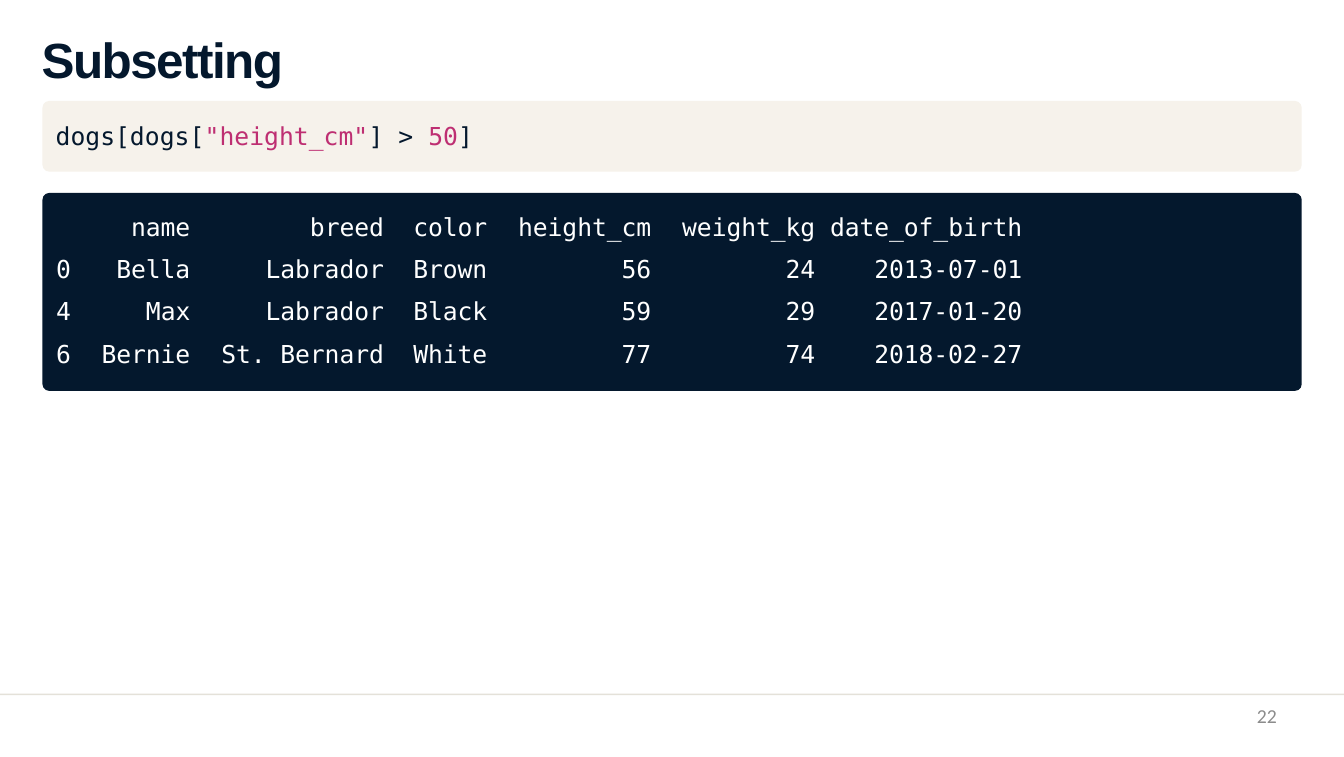
from dataclasses import dataclass

from pptx import Presentation
from pptx.dml.color import RGBColor
from pptx.enum.shapes import MSO_SHAPE
from pptx.enum.text import MSO_ANCHOR, MSO_AUTO_SIZE, PP_ALIGN
from pptx.util import Pt

LEFT, CENTER, RIGHT = PP_ALIGN.LEFT, PP_ALIGN.CENTER, PP_ALIGN.RIGHT
TOP = MSO_ANCHOR.TOP
NO_AUTOFIT = MSO_AUTO_SIZE.NONE
RECTANGLE, ROUNDED = MSO_SHAPE.RECTANGLE, MSO_SHAPE.ROUNDED_RECTANGLE
TITLE_ONLY_LAYOUT = 5
NO_STYLE_TABLE = "{2D5ABB26-0587-4C30-8999-92F81FD0307C}"


@dataclass(frozen=True)
class Theme:
    navy: RGBColor = RGBColor(0x04, 0x18, 0x2D)
    cream: RGBColor = RGBColor(0xF6, 0xF2, 0xEB)
    rule: RGBColor = RGBColor(0xE4, 0xE1, 0xD9)
    pink: RGBColor = RGBColor(0xBE, 0x2F, 0x72)
    white: RGBColor = RGBColor(0xFF, 0xFF, 0xFF)
    gray: RGBColor = RGBColor(0x8C, 0x8C, 0x8C)
    title_font: str = "Arial"
    code_font: str = "DejaVu Sans Mono"
    number_font: str = "Calibri"
    title_size: float = 45
    code_size: float = 22.5
    number_size: float = 18


THEME = Theme()

CODE = [
    ("dogs[dogs[", THEME.navy),
    ('"height_cm"', THEME.pink),
    ("] > ", THEME.navy),
    ("50", THEME.pink),
    ("]", THEME.navy),
]

# Column width, alignment, left and right cell margins
COLUMNS = [
    (29.5, LEFT, 2.2, 0),
    (108, RIGHT, 0, 13),
    (176.4, RIGHT, 0, 13),
    (95, CENTER, 0, 0),
    (149, RIGHT, 0, 13.4),
    (142.6, RIGHT, 0, 6.5),
    (185, RIGHT, 0, 2.9),
]
ROW_HEIGHTS = [33, 39, 39, 33]
DOGS = [
    ("", "name", "breed", "color", "height_cm", "weight_kg", "date_of_birth"),
    ("0", "Bella", "Labrador", "Brown", "56", "24", "2013-07-01"),
    ("4", "Max", "Labrador", "Black", "59", "29", "2017-01-20"),
    ("6", "Bernie", "St. Bernard", "White", "77", "74", "2018-02-27"),
]


def format_run(run, font_name, size, color, bold=False, tracking=0):
    run.font.name = font_name
    run.font.size = Pt(size)
    run.font.color.rgb = color
    run.font.bold = bold
    if tracking:
        run.font._element.set("spc", str(round(tracking * 100)))


def prepare_frame(text_frame, top_margin=0):
    text_frame.word_wrap = True
    text_frame.auto_size = NO_AUTOFIT
    text_frame.vertical_anchor = TOP
    text_frame.margin_left = text_frame.margin_right = 0
    text_frame.margin_top, text_frame.margin_bottom = Pt(top_margin), 0


def set_title(slide, text):
    title = slide.shapes.title
    title.left, title.top = Pt(37.9), Pt(21.6)
    title.width, title.height = Pt(332), Pt(56.2)
    title.text_frame.text = text
    prepare_frame(title.text_frame, top_margin=5)
    paragraph = title.text_frame.paragraphs[0]
    paragraph.alignment = LEFT
    format_run(paragraph.runs[0], THEME.title_font, THEME.title_size,
               THEME.navy, bold=True, tracking=-1.4)


def add_panel(slide, left, top, width, height, color, radius=0):
    kind = ROUNDED if radius else RECTANGLE
    panel = slide.shapes.add_shape(kind, Pt(left), Pt(top), Pt(width), Pt(height))
    if radius:
        panel.adjustments[0] = radius / height
    panel.fill.solid()
    panel.fill.fore_color.rgb = color
    panel.line.fill.background()
    panel.shadow.inherit = False


def add_text(slide, left, top, width, height, parts, font_name, size, alignment=LEFT):
    box = slide.shapes.add_textbox(Pt(left), Pt(top), Pt(width), Pt(height))
    prepare_frame(box.text_frame)
    paragraph = box.text_frame.paragraphs[0]
    paragraph.alignment = alignment
    for text, color in parts:
        run = paragraph.add_run()
        run.text = text
        format_run(run, font_name, size, color)


def fill_cell(cell, text, column, is_header):
    _, alignment, left_margin, right_margin = column
    cell.fill.background()
    cell.margin_left, cell.margin_right = Pt(left_margin), Pt(right_margin)
    cell.margin_top, cell.margin_bottom = Pt(0 if is_header else 5), 0
    cell.text_frame.text = text
    paragraph = cell.text_frame.paragraphs[0]
    paragraph.alignment = alignment
    if is_header:
        paragraph.line_spacing = Pt(26.4)
    for run in paragraph.runs:
        format_run(run, THEME.code_font, THEME.code_size, THEME.white, tracking=-0.1)


def add_output_table(slide, left, top):
    width = sum(column[0] for column in COLUMNS)
    frame = slide.shapes.add_table(len(DOGS), len(COLUMNS), Pt(left), Pt(top),
                                   Pt(width), Pt(sum(ROW_HEIGHTS)))
    table = frame.table
    table.first_row = table.horz_banding = False
    table._tbl.tblPr[0].text = NO_STYLE_TABLE
    for table_column, column in zip(table.columns, COLUMNS):
        table_column.width = Pt(column[0])
    for row_index, values in enumerate(DOGS):
        table.rows[row_index].height = Pt(ROW_HEIGHTS[row_index])
        for column_index, text in enumerate(values):
            fill_cell(table.cell(row_index, column_index), text,
                      COLUMNS[column_index], row_index == 0)


def main():
    presentation = Presentation()
    presentation.slide_width, presentation.slide_height = Pt(1224.72), Pt(689.76)
    slide = presentation.slides.add_slide(presentation.slide_layouts[TITLE_ONLY_LAYOUT])

    # Title and footer rule
    set_title(slide, "Subsetting")
    add_panel(slide, 0, 632, 1224.72, 1.5, THEME.rule)

    # Code and its output
    add_panel(slide, 38.7, 92, 1147.5, 64.4, THEME.cream, radius=6.2)
    add_panel(slide, 38.7, 175.8, 1147.5, 180.4, THEME.navy, radius=6.2)
    add_text(slide, 50.7, 110.4, 381, 28.8, CODE, THEME.code_font, THEME.code_size)
    add_output_table(slide, 49, 194.4)

    # Page number
    add_text(slide, 882, 641.5, 281.5, 34.5, [("22", THEME.gray)],
             THEME.number_font, THEME.number_size, RIGHT)

    presentation.save("out.pptx")


if __name__ == "__main__":
    main()
